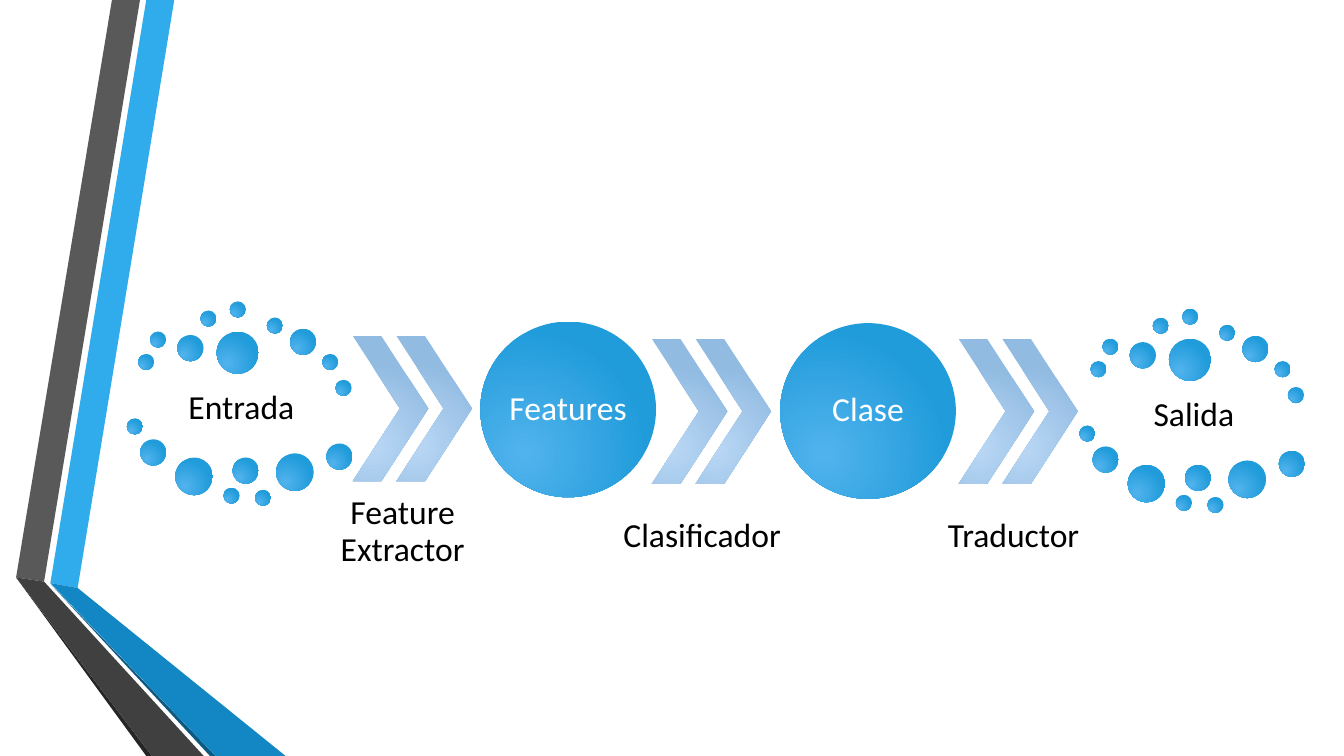
from lxml import etree
from pptx import Presentation
from pptx.dml.color import RGBColor
from pptx.enum.shapes import MSO_SHAPE as Preset
from pptx.enum.text import MSO_ANCHOR as Anchor, PP_ALIGN as Align
from pptx.oxml import parse_xml
from pptx.oxml.ns import nsdecls, qn
from pptx.util import Pt

BLACK = RGBColor(0x00, 0x00, 0x00)
WHITE = RGBColor(0xFF, 0xFF, 0xFF)
SKY = RGBColor(0x30, 0xAC, 0xEC)
OCEAN = RGBColor(0x12, 0x87, 0xC3)
NAVY = RGBColor(0x0C, 0x5A, 0x82)
GREY = RGBColor(0x59, 0x59, 0x59)
CHARCOAL = RGBColor(0x40, 0x40, 0x40)
SOOT = RGBColor(0x26, 0x26, 0x26)
BUBBLE = (RGBColor(0x51, 0xB3, 0xED), RGBColor(0x21, 0x9C, 0xDB))
ARROW = (RGBColor(0xBA, 0xD8, 0xF5), RGBColor(0x92, 0xBB, 0xE2))

deck = Presentation()
deck.slide_width, deck.slide_height = Pt(960), Pt(540)
slide = deck.slides.add_slide(deck.slide_layouts[6])
shapes = slide.shapes


def add_glossy(preset, left, top, width, height, colours):
    """Preset shape with a radial gradient lit from the lower part."""
    glossy = shapes.add_shape(preset, Pt(left), Pt(top), Pt(width), Pt(height))
    glossy.shadow.inherit = False
    glossy.line.fill.background()
    glossy.fill.gradient()
    for stop, colour in zip(glossy.fill.gradient_stops, colours):
        stop.color.rgb = colour
    gradient = glossy._element.spPr.find(qn("a:gradFill"))
    gradient.remove(gradient.find(qn("a:lin")))
    radial = parse_xml(f'<a:path {nsdecls("a")} path="circle"/>')
    etree.SubElement(radial, qn("a:fillToRect"),
                     l="50000", t="100000", r="100000", b="50000")
    gradient.find(qn("a:gsLst")).addnext(radial)
    return glossy


def write_label(holder, wording, colour, inset):
    frame = holder.text_frame
    frame_format = {"word_wrap": True, "vertical_anchor": Anchor.MIDDLE}
    for side in ("left", "top", "right", "bottom"):
        frame_format[f"margin_{side}"] = Pt(inset)
    paragraph = frame.paragraphs[0]
    run = paragraph.add_run()
    formats = (
        (frame, frame_format),
        (paragraph, {"alignment": Align.CENTER, "line_spacing": 0.9}),
        (run, {"text": wording}),
        (run.font, {"name": "Calibri", "size": Pt(24)}),
        (run.font.color, {"rgb": colour}),
    )
    for target, values in formats:
        for attribute, value in values.items():
            setattr(target, attribute, value)


# Folded ribbons on the left edge
ribbons = [
    (SKY, [(36, 416.5), (55.5, 420), (124.5, 0), (104.5, 0)]),
    (GREY, [(100, 0), (80, 0), (11.5, 412.5), (31.5, 415.5)]),
    (SOOT, [(11.5, 412.5), (104.5, 540), (108.5, 540)]),
    (NAVY, [(36, 417), (150, 540), (154, 540)]),
    (OCEAN, [(36, 416.5), (154, 540), (204, 540), (55.5, 420)]),
    (CHARCOAL, [(11.5, 412.5), (108.5, 540), (145.5, 540), (31.5, 415.5)]),
]
for colour, corners in ribbons:
    start, *others = [(Pt(x), Pt(y)) for x, y in corners]
    outline = shapes.build_freeform(*start)
    outline.add_line_segments(others, close=True)
    ribbon = outline.convert_to_shape()
    ribbon.shadow.inherit = False
    ribbon.fill.solid()
    ribbon.fill.fore_color.rgb = colour
    ribbon.line.fill.background()

# Input and output: rings of bubbles, placed from the ring's corner
bubbles_by_size = {
    11.5: [(8, 37.5), (16.5, 21.5), (52.5, 6.5), (73.5, 0), (100, 11.5),
           (139.5, 37.5), (149, 56), (0, 83.5), (69, 133), (91.5, 134.5)],
    18.7: [(36, 24), (116.5, 19.5), (9.5, 98.5), (75.5, 111.5), (142.5, 101.5)],
    26.9: [(34.5, 111.5), (106.5, 108.5)],
    30.2: [(64, 21.5)],
}
for ring_left, ring_top in ((90.7, 215.3), (771, 220.4)):
    for size, corners in bubbles_by_size.items():
        for x, y in corners:
            add_glossy(Preset.OVAL, ring_left + x, ring_top + y, size, size, BUBBLE)

# Double arrows between the stages
for arrow_left, arrow_top in ((252, 240), (465.6, 242), (684.7, 242)):
    for step in range(2):
        chevron = add_glossy(Preset.CHEVRON, arrow_left + 31.2 * step, arrow_top,
                             54, 103.7, ARROW)
        chevron.adjustments[0] = 0.623

# Middle stages
for stage, left, top in (("Features", 343.1, 229.7), ("Clase", 557.3, 230.8)):
    circle = add_glossy(Preset.OVAL, left, top, 125.5, 125.5, BUBBLE)
    write_label(circle, stage, WHITE, 0)

# Labels of the rings and the arrows
labels = [
    ("Entrada", 98.6, 267.8, 48.2),
    ("Feature Extractor", 213.8, 334.8, 90.7),
    ("Clasificador", 427.7, 337.7, 90.7),
    ("Traductor", 650.2, 337.7, 90.7),
    ("Salida", 779, 272.9, 48.2),
]
for wording, left, top, height in labels:
    label = shapes.add_textbox(Pt(left), Pt(top), Pt(147.6), Pt(height))
    write_label(label, wording, BLACK, 2.4)

deck.save("out.pptx")
